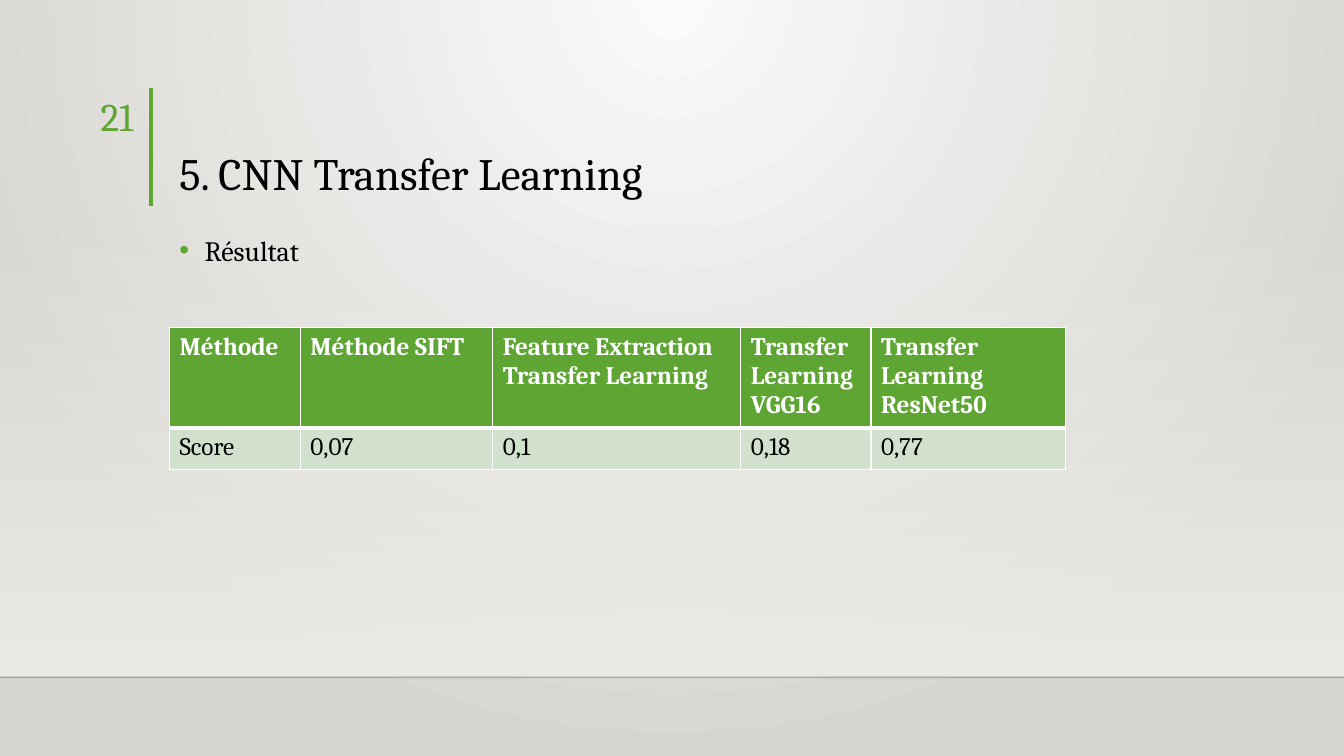
from lxml.etree import SubElement
from pptx import Presentation
from pptx.dml.color import RGBColor
from pptx.enum.shapes import MSO_CONNECTOR, MSO_SHAPE
from pptx.enum.text import MSO_ANCHOR, PP_ALIGN
from pptx.oxml.ns import qn
from pptx.util import Cm, Pt

# Content
TITLE = "5. CNN Transfer Learning"
BULLET = "Résultat"
PAGE_NUMBER = "21"
SCORES = [
    ("Méthode", "Score"),
    ("Méthode SIFT", "0,07"),
    ("Feature Extraction Transfer Learning", "0,1"),
    ("Transfer Learning VGG16", "0,18"),
    ("Transfer Learning ResNet50", "0,77"),
]

# Style and layout, lengths in cm
FONT = "Cambria"
GREEN, PALE_GREEN, WHITE, BLACK = "5FA534", "D2E1CE", "FFFFFF", "000000"
SLIDE_W, SLIDE_H = 33.87, 19.05
LEFT, CONTENT_W = 4.27, 26.44
FLOOR_Y = 17.07
COLUMN_WIDTHS = [3.3, 4.85, 6.25, 3.28, 4.9]
ROW_HEIGHTS = [2.44, 1.04]


def rgb(value):
    return RGBColor.from_string(value)


def set_alpha(color_element, percent):
    SubElement(color_element, qn("a:alpha"), val=str(percent * 1000))


def format_text(paragraph, size, color, bold=False):
    for run in paragraph.runs:
        run.font.name, run.font.size = FONT, Pt(size)
        run.font.bold, run.font.color.rgb = bold, rgb(color)


def add_text(text, box, size, color, anchor=MSO_ANCHOR.TOP):
    frame = slide.shapes.add_textbox(*map(Cm, box)).text_frame
    frame.word_wrap = True
    frame.vertical_anchor = anchor
    frame.text = text
    paragraph = frame.paragraphs[0]
    format_text(paragraph, size, color)
    return paragraph


def add_line(start, end, color, width):
    line = slide.shapes.add_connector(
        MSO_CONNECTOR.STRAIGHT, *map(Cm, (*start, *end)))
    line.line.color.rgb, line.line.width = rgb(color), Pt(width)
    SubElement(line.element.spPr, qn("a:effectLst"))
    return line


def set_gradient(fill, owner, colors):
    fill.gradient()
    for stop, color in zip(fill.gradient_stops, colors):
        stop.color.rgb = rgb(color)
    return owner.find(".//" + qn("a:gradFill"))


def set_borders(cell, widths):
    properties = cell._tc.get_or_add_tcPr()
    for index, (side, width) in enumerate(zip("LRTB", widths)):
        border = SubElement(properties, qn("a:ln" + side), w=str(Pt(width)))
        fill = SubElement(border, qn("a:solidFill"))
        SubElement(fill, qn("a:srgbClr"), val=WHITE)
        properties.insert(index, border)


prs = Presentation()
prs.slide_width, prs.slide_height = Cm(SLIDE_W), Cm(SLIDE_H)
slide = prs.slides.add_slide(prs.slide_layouts[6])

# Background: light from the top centre
glow = set_gradient(slide.background.fill, slide.element, ("FAFAF9", "D7D5D2"))
glow.remove(glow.find(qn("a:lin")))
circle = SubElement(glow, qn("a:path"), path="circle")
SubElement(circle, qn("a:fillToRect"), l="43000", t="0", r="43000", b="100000")

# Wall fading in down to the floor line
wall = slide.shapes.add_shape(
    MSO_SHAPE.RECTANGLE, 0, Cm(5.59), Cm(SLIDE_W), Cm(11.43))
wall.shadow.inherit = False
wall.line.fill.background()
fade = set_gradient(wall.fill, wall.element, ("EDEBE7", "EDEBE7"))
wall.fill.gradient_angle = 270
set_alpha(fade.find(".//" + qn("a:srgbClr")), 0)

floor = add_line((0, FLOOR_Y), (SLIDE_W, FLOOR_Y), "000001", 1)
set_alpha(floor.element.spPr.find(".//" + qn("a:srgbClr")), 20)
add_line((3.81, 2.21), (3.81, 5.18), GREEN, 3)

# Title, bullet and page number
title = add_text(TITLE, (LEFT, 2.24, CONTENT_W, 2.92), 32, BLACK, MSO_ANCHOR.BOTTOM)
title.line_spacing = 0.9

bullet = add_text(BULLET, (LEFT, 5.59, CONTENT_W, 9.58), 20, BLACK)
bullet.line_spacing, bullet.space_before = 1.2, Pt(10)
indent = bullet._p.get_or_add_pPr()
indent.set("marL", str(Cm(0.64)))
indent.set("indent", str(-Cm(0.64)))
bullet_color = SubElement(indent, qn("a:buClr"))
SubElement(bullet_color, qn("a:srgbClr"), val=GREEN)
SubElement(indent, qn("a:buFont"), typeface="Arial")
SubElement(indent, qn("a:buChar"), char="•")

number = add_text(PAGE_NUMBER, (1.35, 2.21, 2.26, 1.4), 28, GREEN)
number.alignment = PP_ALIGN.RIGHT

# Score table
table = slide.shapes.add_table(
    len(ROW_HEIGHTS), len(SCORES), Cm(LEFT), Cm(8.25),
    Cm(sum(COLUMN_WIDTHS)), Cm(sum(ROW_HEIGHTS))).table
for row, height in zip(table.rows, ROW_HEIGHTS):
    row.height = Cm(height)
for c, (column_texts, width) in enumerate(zip(SCORES, COLUMN_WIDTHS)):
    table.columns[c].width = Cm(width)
    for r, text in enumerate(column_texts):
        header = r == 0
        cell = table.cell(r, c)
        cell.text = text
        cell.fill.solid()
        cell.fill.fore_color.rgb = rgb(GREEN if header else PALE_GREEN)
        format_text(cell.text_frame.paragraphs[0], 18,
                    WHITE if header else BLACK, header)
        set_borders(cell, (1, 1, 1, 3) if header else (1, 1, 3, 1))

prs.save("out.pptx")
